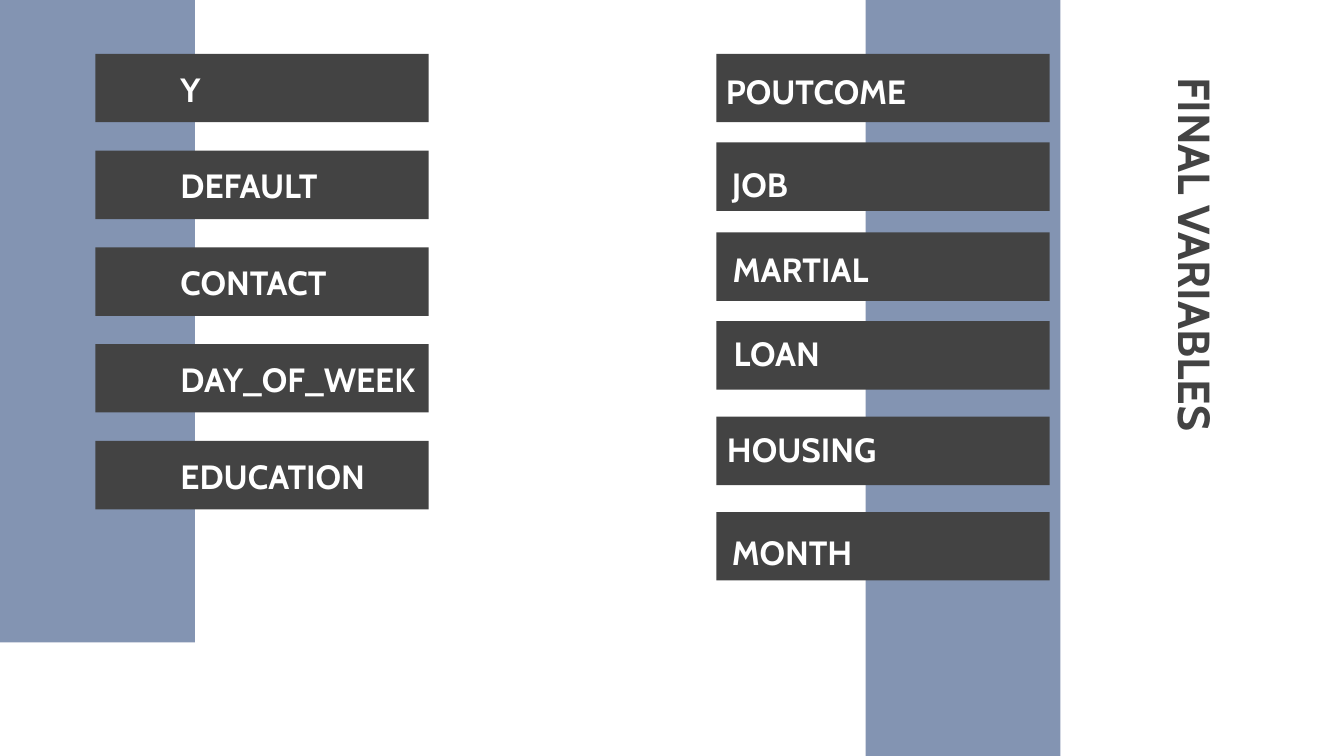
"""Build the slide that lists the final variables in two columns of bars."""
from lxml.etree import SubElement
from pptx import Presentation
from pptx.dml.color import RGBColor
from pptx.enum.shapes import MSO_SHAPE
from pptx.enum.text import MSO_ANCHOR, PP_ALIGN
from pptx.oxml.ns import qn
from pptx.util import Inches, Pt

COLORS = {"band": "556D96", "bar": "434343", "label": "FFFFFF"}
BAR_W, BAR_H, LABEL_H = 24.8, 5.1, 4.2

prs = Presentation()
prs.slide_width = Inches(10)
prs.slide_height = prs.slide_width * 9 // 16
cell = prs.slide_width / 100
rows = prs.slide_height / cell
s = prs.slides.add_slide(prs.slide_layouts[6])


def add_rect(col, row, width, height, color):
    box = [round(n * cell) for n in (col, row, width, height)]
    sp = s.shapes.add_shape(MSO_SHAPE.RECTANGLE, *box)
    sp.shadow.inherit = False
    sp.fill.solid()
    sp.fill.fore_color.rgb = RGBColor.from_string(COLORS[color])
    sp.line.fill.background()
    return sp


def add_text(text, col, row, width, height, size, color, anchor, align):
    box = [round(n * cell) for n in (col, row, width, height)]
    sp = s.shapes.add_textbox(*box)
    tf = sp.text_frame
    tf.word_wrap = True
    tf.vertical_anchor = anchor
    tf.margin_left = tf.margin_right = tf.margin_top = tf.margin_bottom = round(cell)
    p = tf.paragraphs[0]
    p.text = text
    p.alignment = align
    p.font.name, p.font.size, p.font.bold = "Cabin", Pt(size), True
    p.font.color.rgb = RGBColor.from_string(COLORS[color])
    return sp


for col, height in ((64.4, rows), (0, 47.8)):
    band = add_rect(col, 0, 14.5, height, "band")
    for clr in band.fill._xPr.iter(qn("a:srgbClr")):
        SubElement(clr, qn("a:alpha"), val="73000")

title = add_text("FINAL VARIABLES", 72.9, 18.2, 32.2, 5.3, 24, "bar",
                 MSO_ANCHOR.MIDDLE, PP_ALIGN.LEFT)
title.rotation = 90

for i, name in enumerate(("Y", "DEFAULT", "CONTACT", "DAY_OF_WEEK", "EDUCATION")):
    row = 4 + 7.2 * i
    add_rect(7.1, row, BAR_W, BAR_H, "bar")
    add_text(name, 12.45, row + 0.9, 28.6, LABEL_H, 18, "label",
             MSO_ANCHOR.BOTTOM, PP_ALIGN.LEFT)

right_bars = (
    ("POUTCOME", 4, 50.8, 5.1, 17.6),
    ("JOB", 10.6, 49.1, 12, 10.5),
    ("MARTIAL", 17.3, 49.3, 18.3, 16.3),
    ("LOAN", 23.9, 33.4, 24.6, 28.6),
    ("HOUSING", 31, 37.6, 31.7, 28.6),
    ("MONTH", 38.1, 49.3, 39.4, 15.1),
)
for name, bar_row, col, row, width in right_bars:
    add_rect(53.3, bar_row, BAR_W, BAR_H, "bar")
    add_text(name, col, row, width, LABEL_H, 18, "label",
             MSO_ANCHOR.BOTTOM, PP_ALIGN.RIGHT)

prs.save("out.pptx")
